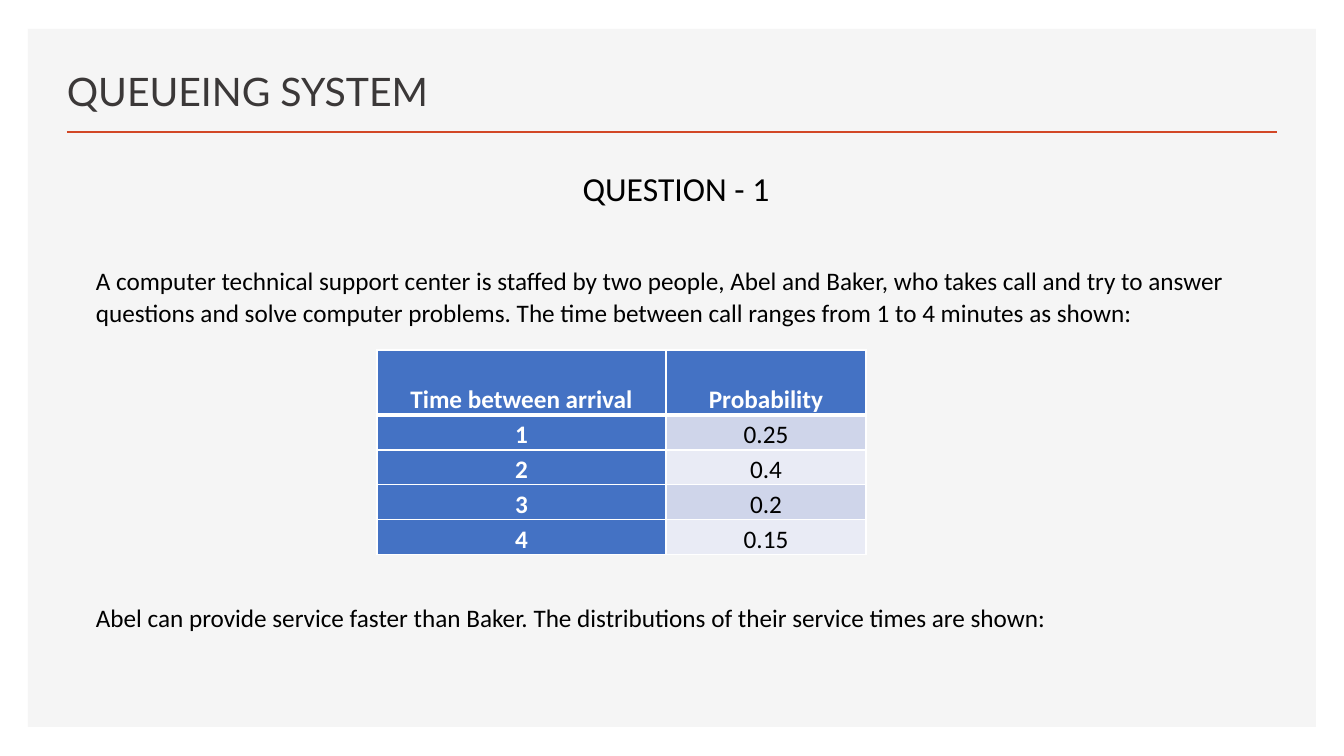
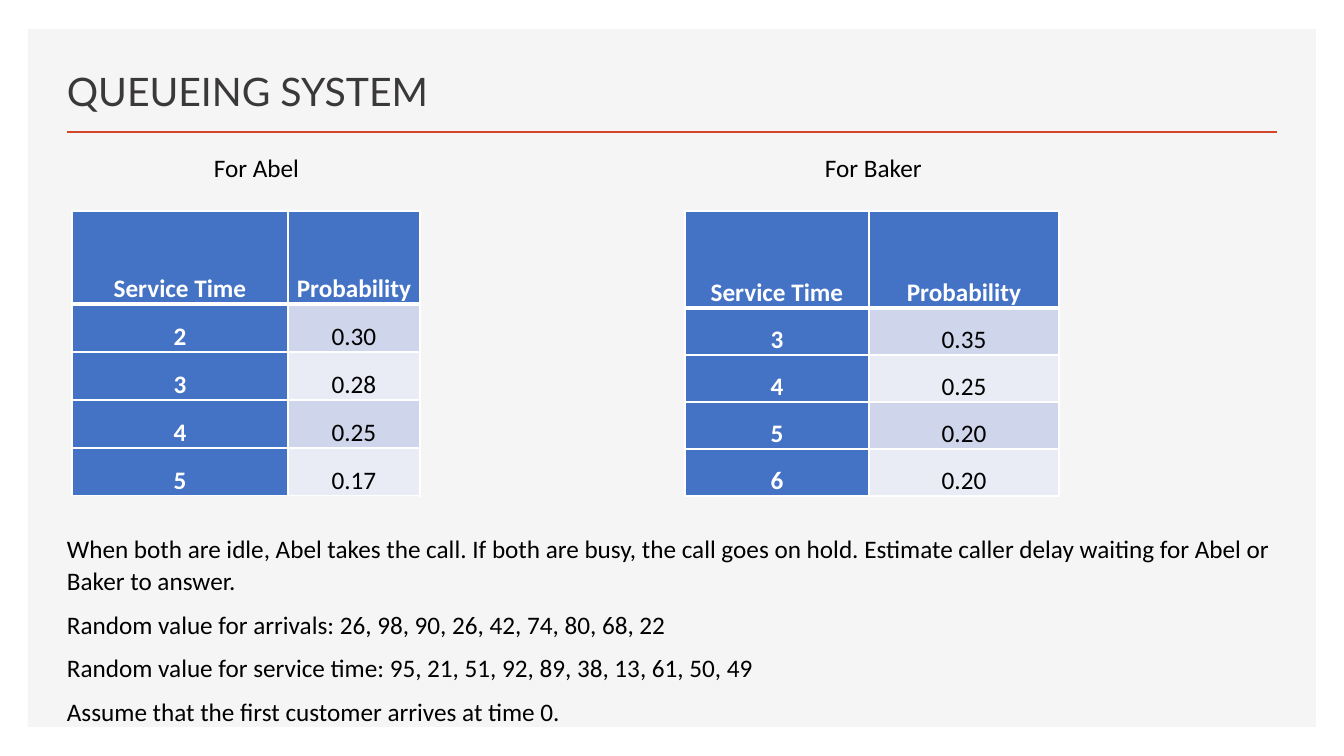
import pptx
import pptx.util
import pptx.dml.color
import pptx.enum.shapes
import pptx.enum.text
import pptx.oxml
import pptx.oxml.ns

# Content: boxes are px (left, top, width, height)
TITLE = "QUEUEING SYSTEM"
SLIDES = [
    {
        "texts": [
            ((86, 160, 1180, 54), ["QUESTION - 1"], {"size": 24, "align": "CENTER"}),
            ((86, 258, 1180, 76), [
                "A computer technical support center is staffed by two people, Abel and Baker, "
                "who takes call and try to answer questions and solve computer problems. "
                "The time between call ranges from 1 to 4 minutes as shown:"], {}),
            ((86, 595, 1180, 41), [
                "Abel can provide service faster than Baker. "
                "The distributions of their service times are shown:"], {}),
        ],
        "tables": [
            {"at": (377, 350), "cols": (289, 200), "head": 65, "row": 35,
             "rows": [("Time between arrival", "Probability"),
                      ("1", "0.25"), ("2", "0.4"), ("3", "0.2"), ("4", "0.15")]},
        ],
    },
    {
        "texts": [
            ((204, 145, 180, 41), ["For Abel"], {}),
            ((815, 145, 203, 41), ["For Baker"], {}),
            ((57, 526, 1229, 206), [
                "When both are idle, Abel takes the call. If both are busy, the call goes on hold. "
                "Estimate caller delay waiting for Abel or Baker to answer.",
                "Random value for arrivals: 26, 98, 90, 26, 42, 74, 80, 68, 22",
                "Random value for service time: 95, 21, 51, 92, 89, 38, 13, 61, 50, 49",
                "Assume that the first customer arrives at time 0."], {}),
        ],
        "tables": [
            {"at": (72, 211), "cols": (216, 132), "head": 93, "row": 48,
             "rows": [("Service Time", "Probability"),
                      ("2", "0.30"), ("3", "0.28"), ("4", "0.25"), ("5", "0.17")]},
            {"at": (685, 211), "cols": (184, 190), "head": 97, "row": 47,
             "rows": [("Service Time", "Probability"),
                      ("3", "0.35"), ("4", "0.25"), ("5", "0.20"), ("6", "0.20")]},
        ],
    },
]

# Shared style
PANEL, RULE, TITLE_INK = "F5F5F5", "D24726", "3B3838"
BLACK, WHITE, BLUE = "000000", "FFFFFF", "4472C4"
BANDS = ("CFD5EA", "E9EBF5")
EMU_PER_PX = 914400 / 100.8


def px(n):
    return pptx.util.Emu(round(n * EMU_PER_PX))


def box(at):
    return [px(n) for n in at]


def rgb(value):
    return pptx.dml.color.RGBColor.from_string(value)


def write(p, text, size=18, font="Calibri", color=BLACK, bold=False,
          align="LEFT", spacing=1.07, after=8):
    layout = {"alignment": getattr(pptx.enum.text.PP_ALIGN, align),
              "line_spacing": spacing, "space_after": pptx.util.Pt(after)}
    for name, value in layout.items():
        setattr(p, name, value)
    r = p.add_run()
    r.text = text
    for name, value in {"size": pptx.util.Pt(size), "name": font, "bold": bold}.items():
        setattr(r.font, name, value)
    r.font.color.rgb = rgb(color)


def add_text(s, at, lines, anchor="TOP", **style):
    tf = s.shapes.add_textbox(*box(at)).text_frame
    tf.word_wrap = True
    tf.vertical_anchor = getattr(pptx.enum.text.MSO_ANCHOR, anchor)
    for i, line in enumerate(lines):
        write(tf.add_paragraph() if i else tf.paragraphs[0], line, **style)


def add_frame(s):
    """Panel, title and rule found on every slide."""
    panel = s.shapes.add_shape(pptx.enum.shapes.MSO_SHAPE.RECTANGLE, *box((28, 29, 1288, 698)))
    panel.shadow.inherit = False
    panel.fill.solid()
    panel.fill.fore_color.rgb = rgb(PANEL)
    panel.line.fill.background()

    rule = s.shapes.add_connector(pptx.enum.shapes.MSO_CONNECTOR.STRAIGHT,
                                  *box((67, 132, 1277, 132)))
    rule.line.color.rgb = rgb(RULE)
    rule.line.width = pptx.util.Pt(2)
    rule._element.spPr.append(pptx.oxml.parse_xml(
        f'<a:effectLst {pptx.oxml.ns.nsdecls("a")}/>'))

    add_text(s, (57, 49, 758, 71), [TITLE], anchor="BOTTOM", size=28, font="Lato",
             color=TITLE_INK, spacing=0.9, after=0)


def add_borders(cell, widths):
    tcPr = cell._tc.get_or_add_tcPr()
    for side, width in widths.items():
        tcPr.append(pptx.oxml.parse_xml(
            f'<a:ln{side} {pptx.oxml.ns.nsdecls("a")} w="{pptx.util.Pt(width)}">'
            f'<a:solidFill><a:srgbClr val="{WHITE}"/></a:solidFill></a:ln{side}>'))


def add_table(s, at, cols, head, row, rows):
    heights = [head] + [row] * (len(rows) - 1)
    table = s.shapes.add_table(len(rows), len(cols),
                               *box((*at, sum(cols), sum(heights)))).table
    table.first_row = table.horz_banding = False
    for column, width in zip(table.columns, cols):
        column.width = px(width)
    cell_format = {"margin_left": px(7), "margin_right": px(7), "margin_top": 0,
                   "margin_bottom": 0,
                   "vertical_anchor": pptx.enum.text.MSO_ANCHOR.BOTTOM}
    for i, (values, height) in enumerate(zip(rows, heights)):
        table.rows[i].height = px(height)
        for j, value in enumerate(values):
            cell = table.cell(i, j)
            for name, setting in cell_format.items():
                setattr(cell, name, setting)
            # A thick border parts the header row from the values
            add_borders(cell, {"L": 1, "R": 1, "T": 3 if i == 1 else 1,
                               "B": 3 if i == 0 else 1})
            heading = i == 0 or j == 0
            cell.fill.solid()
            cell.fill.fore_color.rgb = rgb(BLUE if heading else BANDS[(i - 1) % 2])
            write(cell.text_frame.paragraphs[0], value, bold=heading,
                  color=WHITE if heading else BLACK, align="CENTER", after=0)


def main():
    prs = pptx.Presentation()
    prs.slide_width, prs.slide_height = px(1344), px(756)
    for content in SLIDES:
        s = prs.slides.add_slide(prs.slide_layouts[6])
        add_frame(s)
        for at, lines, style in content["texts"]:
            add_text(s, at, lines, **style)
        for table in content["tables"]:
            add_table(s, **table)
    prs.save("out.pptx")


if __name__ == "__main__":
    main()
